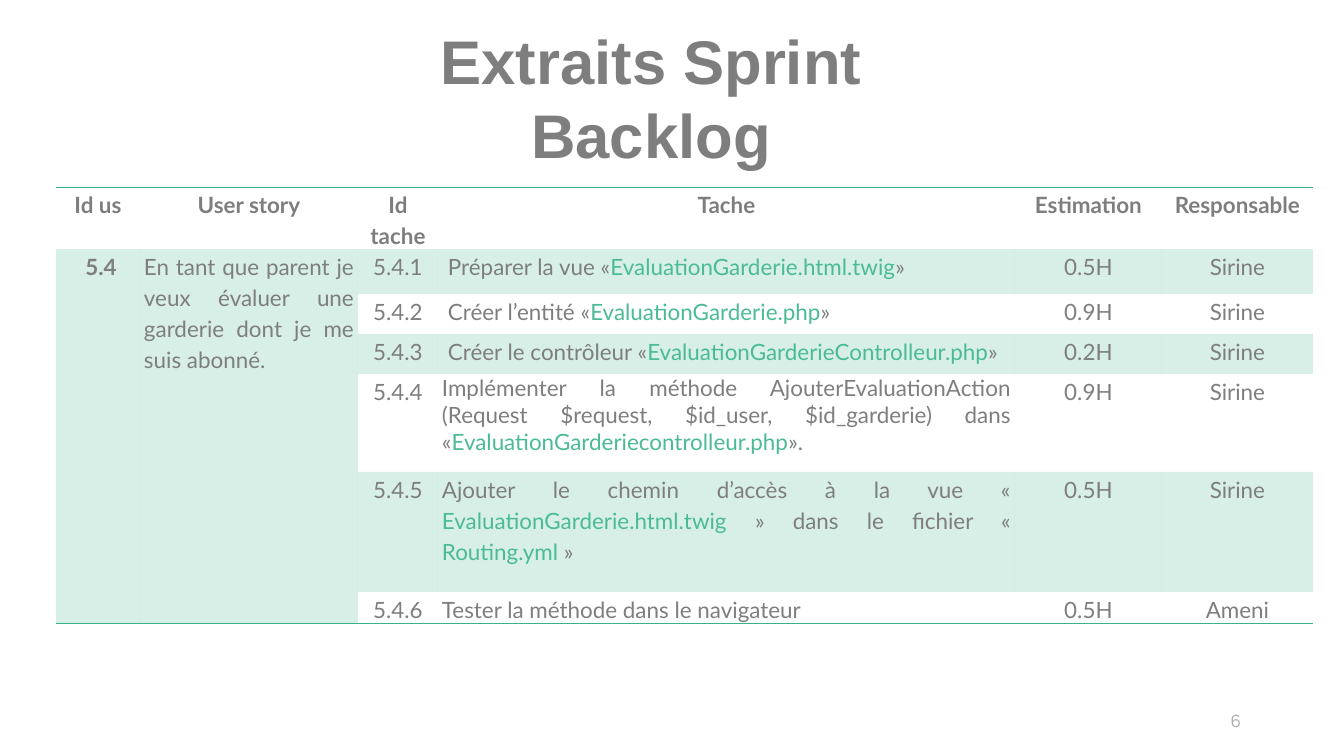
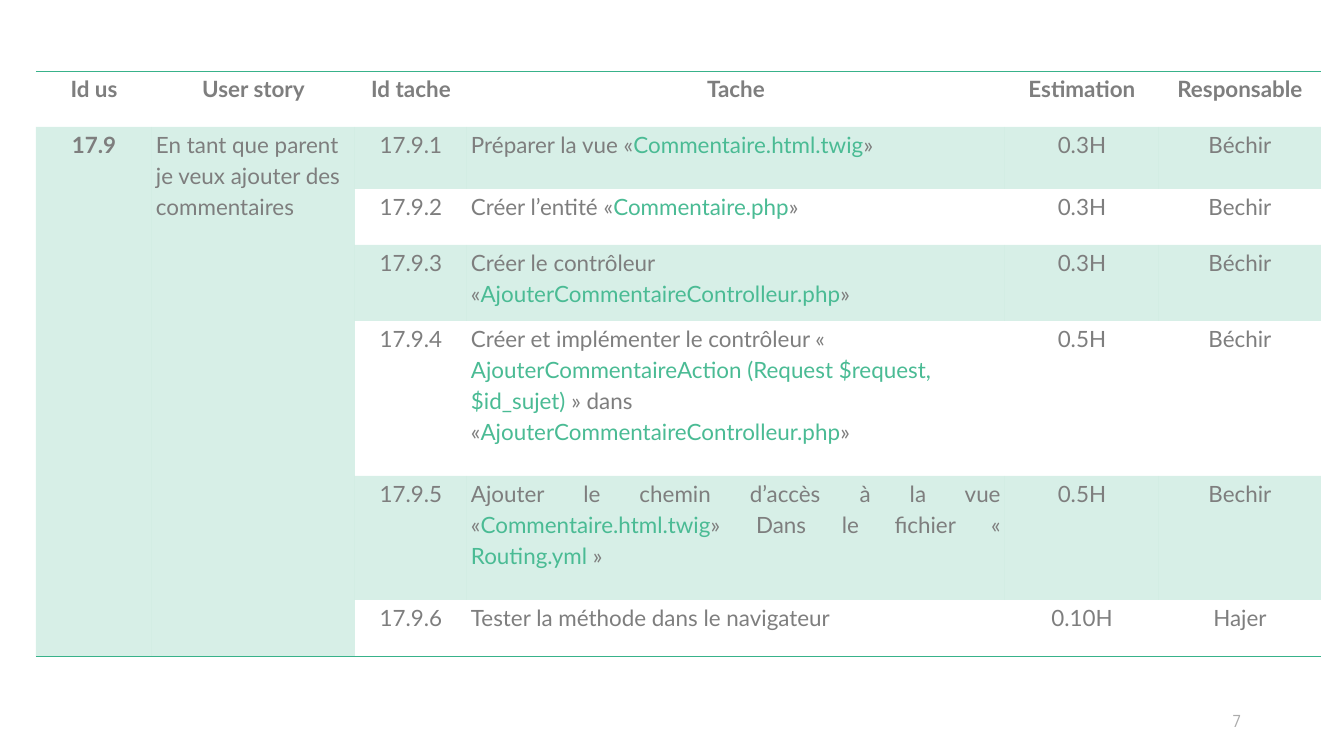
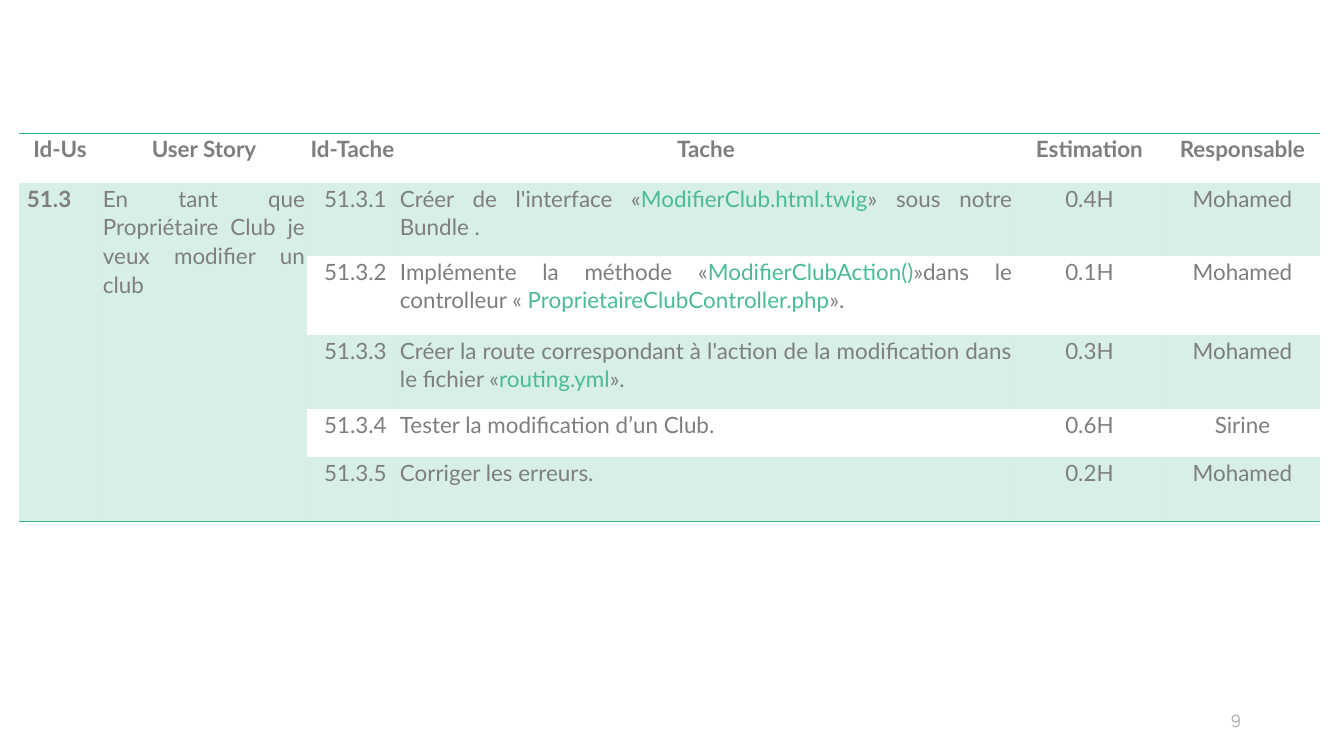
from dataclasses import dataclass

from lxml.etree import SubElement
from pptx import Presentation
from pptx.dml.color import RGBColor
from pptx.enum.text import MSO_ANCHOR, MSO_AUTO_SIZE, PP_ALIGN
from pptx.oxml.ns import qn
from pptx.util import Pt

PX = 914400 / 50.4
TITLE_ONLY, BLANK = 5, 6
PLAIN_TABLE = "{2D5ABB26-0587-4C30-8999-92F81FD0307C}"
LEFT, CENTER, RIGHT, JUSTIFY = (
    PP_ALIGN.LEFT, PP_ALIGN.CENTER, PP_ALIGN.RIGHT, PP_ALIGN.JUSTIFY)


def px(length):
    return round(length * PX)


@dataclass(frozen=True)
class Theme:
    text: str = "7E7E7E"
    code: str = "4ABB94"
    accent: str = "38B28A"
    number: str = "ABABAB"
    tint: int = 20
    rule: float = 1
    title_font: str = "Arial"
    body_font: str = "Lato"
    number_font: str = "Manrope"
    title_size: int = 88
    body_size: int = 32
    number_size: int = 24


@dataclass
class Task:
    label: str
    text: str  # file names and code stand between backticks
    hours: str
    owner: str
    align: PP_ALIGN = JUSTIFY
    indent: int = 0
    spacing: float = 1.15


@dataclass
class Backlog:
    number: str
    place: tuple
    columns: list
    rows: list
    headings: list
    story_id: str
    story: str
    tasks: list
    title: str = ""
    story_align: PP_ALIGN = JUSTIFY
    id_align: PP_ALIGN = CENTER
    id_indent: int = 0
    label_indent: int = 0
    spacing: float = 1.15
    space_after: int = 0
    margin: int = 4


class Builder:
    def __init__(self, theme):
        self.theme = theme
        self.deck = Presentation()
        self.deck.slide_width, self.deck.slide_height = px(1344), px(756)
        self.page = None

    def add_page(self, layout):
        self.page = self.deck.slides.add_slide(self.deck.slide_layouts[layout])

    def apply(self, target, values):
        for name, value in values.items():
            setattr(target, name, value)

    def fill_para(self, para, text, font, size, color, bold=False, **layout):
        self.apply(para, layout)
        for index, part in enumerate(text.split("`")):
            if not part:
                continue
            span = para.add_run()
            span.text = part
            self.apply(span.font, {"name": font, "size": Pt(size), "bold": bold})
            span.font.color.rgb = RGBColor.from_string(
                self.theme.code if index % 2 else color)

    def title(self, text):
        box = self.page.shapes.title
        self.apply(box, {"left": px(315), "top": px(20),
                         "width": px(672), "height": px(80)})
        self.apply(box.text_frame, {
            "word_wrap": True, "auto_size": MSO_AUTO_SIZE.NONE,
            "vertical_anchor": MSO_ANCHOR.TOP})
        self.fill_para(box.text_frame.paragraphs[0], text, self.theme.title_font,
                       self.theme.title_size, self.theme.text, True,
                       alignment=CENTER)

    def page_number(self, number):
        box = self.page.shapes.add_textbox(px(949), px(701), px(302), px(40))
        self.apply(box.text_frame, {
            "word_wrap": True, "vertical_anchor": MSO_ANCHOR.MIDDLE,
            "margin_left": px(10), "margin_right": px(10),
            "margin_top": px(5), "margin_bottom": px(5)})
        self.fill_para(box.text_frame.paragraphs[0], number, self.theme.number_font,
                       self.theme.number_size, self.theme.number, alignment=RIGHT)

    def cell_style(self, cell, rules, tinted, margin):
        self.apply(cell, {"margin_left": px(margin), "margin_right": px(margin),
                          "margin_top": 0, "margin_bottom": 0})
        properties = cell._tc.get_or_add_tcPr()
        for side in "LRTB":
            line = SubElement(properties, qn(f"a:ln{side}"), w=str(Pt(self.theme.rule)))
            if side in rules:
                fill = SubElement(line, qn("a:solidFill"))
                SubElement(fill, qn("a:srgbClr"), val=self.theme.accent)
            else:
                SubElement(line, qn("a:noFill"))
        if tinted:
            cell.fill.solid()
            cell.fill.fore_color.rgb = RGBColor.from_string(self.theme.accent)
            color = properties.find(qn("a:solidFill")).find(qn("a:srgbClr"))
            SubElement(color, qn("a:alpha"), val=str(self.theme.tint * 1000))
        else:
            cell.fill.background()

    def cell_text(self, cell, text, backlog, align=CENTER, bold=False, indent=0,
                  spacing=None):
        para = cell.text_frame.paragraphs[0]
        self.fill_para(para, text, self.theme.body_font, self.theme.body_size,
                       self.theme.text, bold, alignment=align,
                       line_spacing=spacing or backlog.spacing,
                       space_after=Pt(backlog.space_after))
        if indent:
            para._p.get_or_add_pPr().set("marL", str(px(indent)))

    def backlog_table(self, backlog):
        left, top = backlog.place
        table = self.page.shapes.add_table(
            len(backlog.rows), len(backlog.columns), px(left), px(top),
            px(sum(backlog.columns)), px(sum(backlog.rows))).table
        self.apply(table, {"first_row": False, "horz_banding": False})
        table._tbl.tblPr.find(qn("a:tableStyleId")).text = PLAIN_TABLE
        for column, width in zip(table.columns, backlog.columns):
            column.width = px(width)
        for row, height in zip(table.rows, backlog.rows):
            row.height = px(height)

        # Rules around the heading and under the last row, tint on odd rows
        last = len(backlog.rows) - 1
        for r, row in enumerate(table.rows):
            rules = "TB" if r == 0 else "B" if r == last else ""
            for c, cell in enumerate(row.cells):
                # The user story cells span every task row
                spanning = r > 0 and c < 2
                self.cell_style(cell, "B" if spanning else rules,
                                spanning or r % 2 == 1, backlog.margin)

        # Headings and user story
        for c, heading in enumerate(backlog.headings):
            self.cell_text(table.cell(0, c), heading, backlog, bold=True)
        for c in (0, 1):
            table.cell(1, c).merge(table.cell(last, c))
        self.cell_text(table.cell(1, 0), backlog.story_id, backlog,
                       backlog.id_align, True, backlog.id_indent)
        self.cell_text(table.cell(1, 1), backlog.story, backlog, backlog.story_align)

        # Tasks
        for r, task in enumerate(backlog.tasks, 1):
            self.cell_text(table.cell(r, 2), task.label, backlog,
                           indent=backlog.label_indent)
            self.cell_text(table.cell(r, 3), task.text, backlog, task.align,
                           indent=task.indent,
                           spacing=min(task.spacing, backlog.spacing))
            self.cell_text(table.cell(r, 4), task.hours, backlog)
            self.cell_text(table.cell(r, 5), task.owner, backlog)

    def backlog_page(self, backlog):
        self.add_page(TITLE_ONLY if backlog.title else BLANK)
        if backlog.title:
            self.title(backlog.title)
        self.backlog_table(backlog)
        self.page_number(backlog.number)


HEADINGS = ["Id us", "User story", "Id tache", "Tache", "Estimation", "Responsable"]

BACKLOGS = [
    # Rating a nursery
    Backlog(
        number="6", title="Extraits Sprint Backlog", place=(56, 187),
        columns=[84, 218, 80, 577, 147, 151], rows=[62, 45, 40, 40, 98, 120, 31],
        headings=HEADINGS, story_id="5.4", id_indent=6,
        story="En tant que parent je veux évaluer une garderie dont je me suis abonné.",
        tasks=[
            Task("5.4.1", "Préparer la vue «`EvaluationGarderie.html.twig`»",
                 "0.5H", "Sirine", indent=6),
            Task("5.4.2", "Créer l’entité «`EvaluationGarderie.php`»",
                 "0.9H", "Sirine", indent=6),
            Task("5.4.3", "Créer le contrôleur «`EvaluationGarderieControlleur.php`»",
                 "0.2H", "Sirine", indent=6),
            Task("5.4.4", "Implémenter la méthode AjouterEvaluationAction (Request "
                 "$request, $id_user, $id_garderie) dans "
                 "«`EvaluationGarderiecontrolleur.php`».",
                 "0.9H", "Sirine", spacing=1.0),
            Task("5.4.5", "Ajouter le chemin d’accès à la vue « "
                 "`EvaluationGarderie.html.twig` » dans le fichier « `Routing.yml` »",
                 "0.5H", "Sirine"),
            Task("5.4.6", "Tester la méthode dans le navigateur", "0.5H", "Ameni"),
        ]),
    # Adding comments
    Backlog(
        number="7", place=(36, 71),
        columns=[116, 203, 112, 538, 154, 162], rows=[56, 62, 56, 76, 155, 124, 56],
        headings=HEADINGS, story_id="17.9", story_align=LEFT,
        story="En tant que parent je veux ajouter des commentaires",
        tasks=[
            Task("17.9.1", "Préparer la vue «`Commentaire.html.twig`»",
                 "0.3H", "Béchir", LEFT),
            Task("17.9.2", "Créer l’entité «`Commentaire.php`»",
                 "0.3H", "Bechir", LEFT),
            Task("17.9.3", "Créer le contrôleur «`AjouterCommentaireControlleur.php`»",
                 "0.3H", "Béchir", LEFT),
            Task("17.9.4", "Créer et implémenter le contrôleur "
                 "« `AjouterCommentaireAction (Request $request, $id_sujet) `» dans "
                 "«`AjouterCommentaireControlleur.php`»", "0.5H", "Béchir", LEFT),
            Task("17.9.5", "Ajouter le chemin d’accès à la vue "
                 "«`Commentaire.html.twig`» Dans le fichier « `Routing.yml` »",
                 "0.5H", "Bechir"),
            Task("17.9.6", "Tester la méthode dans le navigateur",
                 "0.10H", "Hajer", LEFT),
        ]),
    # Editing a club
    Backlog(
        number="9", place=(19, 133),
        columns=[82, 206, 91, 616, 151, 155], rows=[50, 73, 79, 74, 48, 64],
        headings=["Id-Us", "User Story", "Id-Tache", "Tache", "Estimation",
                  "Responsable"],
        story_id="51.3", id_align=LEFT, id_indent=6, label_indent=6,
        spacing=1.07, space_after=8, margin=2,
        story="En tant que Propriétaire Club je veux modifier un club",
        tasks=[
            Task("51.3.1", "Créer de l'interface «`ModifierClub.html.twig`» sous notre "
                 "Bundle .", "0.4H", "Mohamed"),
            Task("51.3.2", "Implémente la méthode «`ModifierClubAction()`»dans le "
                 "controlleur « `ProprietaireClubController.php`».", "0.1H", "Mohamed"),
            Task("51.3.3", "Créer la route correspondant à l'action de la modification "
                 "dans le fichier «`routing.yml`».", "0.3H", "Mohamed"),
            Task("51.3.4", "Tester la modification d’un Club.", "0.6H", "Sirine"),
            Task("51.3.5", "Corriger les erreurs.", "0.2H", "Mohamed"),
        ]),
]


def main():
    builder = Builder(Theme())
    for backlog in BACKLOGS:
        builder.backlog_page(backlog)
    builder.deck.save("out.pptx")


if __name__ == "__main__":
    main()
